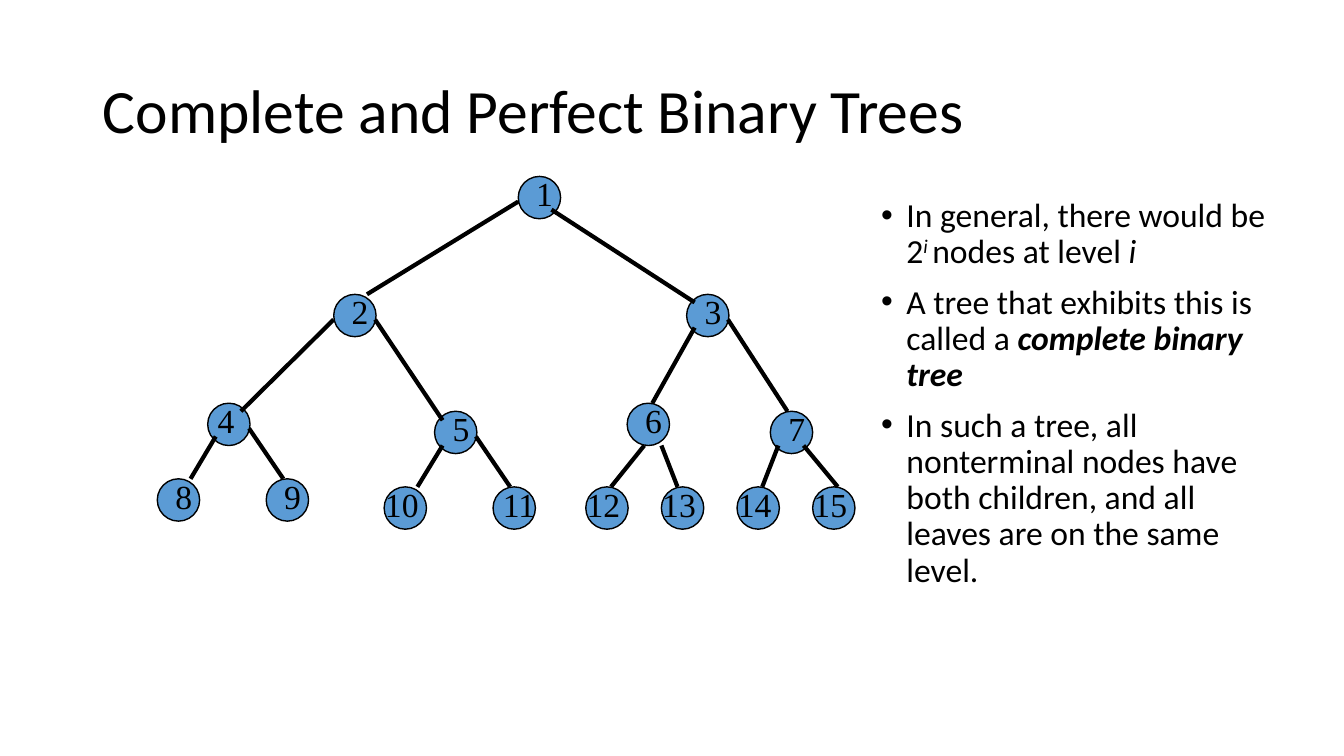
from pptx import Presentation
from pptx.dml.color import RGBColor
from pptx.enum.shapes import MSO_CONNECTOR, MSO_SHAPE
from pptx.enum.text import MSO_ANCHOR, MSO_AUTO_SIZE, PP_ALIGN
from pptx.util import Inches, Pt

BLACK = RGBColor(0x00, 0x00, 0x00)
NODE_BLUE = RGBColor(0x5B, 0x9B, 0xD5)
OVAL, STRAIGHT = MSO_SHAPE.OVAL, MSO_CONNECTOR.STRAIGHT
TOP, MIDDLE, LEFT = MSO_ANCHOR.TOP, MSO_ANCHOR.MIDDLE, PP_ALIGN.LEFT
NO_AUTOFIT = MSO_AUTO_SIZE.NONE

# Content
TITLE = "Complete and Perfect Binary Trees"
PLAIN, ITALIC, SUPERSCRIPT, STRONG = "plain", "italic", "superscript", "strong"
BULLETS = [
    [("In general, there would be 2", PLAIN), ("i ", SUPERSCRIPT),
     ("nodes at level ", PLAIN), ("i", ITALIC)],
    [("A tree that exhibits this is called a ", PLAIN),
     ("complete binary tree", STRONG)],
    [("In such a tree, all nonterminal nodes have both children, "
      "and all leaves are on the same level.", PLAIN)],
]

# Node number: left and top of its circle, in inches
NODES = {
    1: (5.14, 1.75),
    2: (3.31, 2.92), 3: (6.81, 2.92),
    4: (2.06, 4), 5: (4.31, 4.08), 6: (6.22, 4), 7: (7.64, 4.08),
    8: (1.56, 4.75), 9: (2.64, 4.75), 10: (3.81, 4.83), 11: (4.89, 4.83),
    12: (5.81, 4.83), 13: (6.56, 4.83), 14: (7.31, 4.83), 15: (8.06, 4.83),
}
NODE_SIZE = 0.42

# Child number: start x, y at its parent and end x, y at the child
EDGES = {
    2: (5.14, 2, 3.64, 2.92), 3: (5.47, 2.08, 6.89, 3),
    4: (3.31, 3.17, 2.39, 4.08), 5: (3.72, 3.17, 4.39, 4.17),
    6: (6.89, 3.25, 6.47, 4), 7: (7.22, 3.17, 7.81, 4.08),
    8: (2.14, 4.33, 1.89, 4.75), 9: (2.47, 4.25, 2.81, 4.75),
    10: (4.39, 4.42, 4.14, 4.83), 11: (4.72, 4.33, 5.06, 4.83),
    12: (6.39, 4.42, 6.06, 4.83), 13: (6.56, 4.42, 6.72, 4.83),
    14: (7.72, 4.42, 7.56, 4.83), 15: (7.97, 4.42, 8.31, 4.83),
}

# Labels sit a little off their circles
LABEL_RISE, LABEL_HEIGHT = 0.08, 0.5
ONE_DIGIT = (0.08, 0.33)  # shift, width
TWO_DIGITS = (-0.09, 0.67)
UNSHIFTED = (4, 11)


def place(shape, left, top, width, height):
    shape.left, shape.top = Inches(left), Inches(top)
    shape.width, shape.height = Inches(width), Inches(height)


def style_run(run, size, font_name):
    run.font.size = Pt(size)
    run.font.name = font_name
    run.font.color.rgb = BLACK


def add_node(slide, left, top):
    node = slide.shapes.add_shape(OVAL, Inches(left), Inches(top),
                                  Inches(NODE_SIZE), Inches(NODE_SIZE))
    node.shadow.inherit = False
    node.fill.solid()
    node.fill.fore_color.rgb = NODE_BLUE
    node.line.color.rgb = BLACK
    node.line.width = Pt(1)


def add_edge(slide, points):
    edge = slide.shapes.add_connector(STRAIGHT, *map(Inches, points))
    edge.line.color.rgb = BLACK
    edge.line.width = Pt(3)
    properties = edge.line._get_or_add_ln().getparent()
    properties.append(properties.makeelement(
        "{http://schemas.openxmlformats.org/drawingml/2006/main}effectLst", {}))


def add_label(slide, number, left, top):
    shift, width = ONE_DIGIT if number < 10 else TWO_DIGITS
    if number in UNSHIFTED:
        shift = 0
    label = slide.shapes.add_textbox(Inches(left + shift), Inches(top - LABEL_RISE),
                                     Inches(width), Inches(LABEL_HEIGHT))
    label.text_frame.word_wrap = True
    label.text_frame.text = str(number)
    style_run(label.text_frame.paragraphs[0].runs[0], 24, "Times New Roman")


def fill_title(title):
    place(title, 0.92, 0.4, 11.5, 1.45)
    frame = title.text_frame
    frame.text = TITLE
    frame.vertical_anchor = MIDDLE
    frame.auto_size = NO_AUTOFIT
    paragraph = frame.paragraphs[0]
    paragraph.alignment = LEFT
    paragraph.line_spacing = 0.9
    style_run(paragraph.runs[0], 44, "Calibri")


def fill_body(body):
    place(body, 8.64, 1.92, 4.03, 4.5)
    frame = body.text_frame
    frame.vertical_anchor = TOP
    frame.auto_size = NO_AUTOFIT
    for index, pieces in enumerate(BULLETS):
        paragraph = frame.add_paragraph() if index else frame.paragraphs[0]
        paragraph.line_spacing = 0.9
        paragraph.space_before = Pt(10)
        # Hanging indent
        properties = paragraph._p.get_or_add_pPr()
        properties.set("marL", str(Inches(0.25)))
        properties.set("indent", str(Inches(-0.25)))
        for text, style in pieces:
            run = paragraph.add_run()
            run.text = text
            style_run(run, 24, "Calibri")
            run.font.bold = style == STRONG
            run.font.italic = style != PLAIN
            if style == SUPERSCRIPT:
                run.font._element.set("baseline", "30000")


def main():
    presentation = Presentation()
    presentation.slide_width = Inches(13.33)
    presentation.slide_height = Inches(7.5)
    slide = presentation.slides.add_slide(presentation.slide_layouts[1])

    fill_title(slide.shapes.title)
    fill_body(slide.placeholders[1])

    # Tree: circles, then edges, then numbers on top
    for position in NODES.values():
        add_node(slide, *position)
    for points in EDGES.values():
        add_edge(slide, points)
    for number, position in NODES.items():
        add_label(slide, number, *position)

    presentation.save("out.pptx")


if __name__ == "__main__":
    main()
